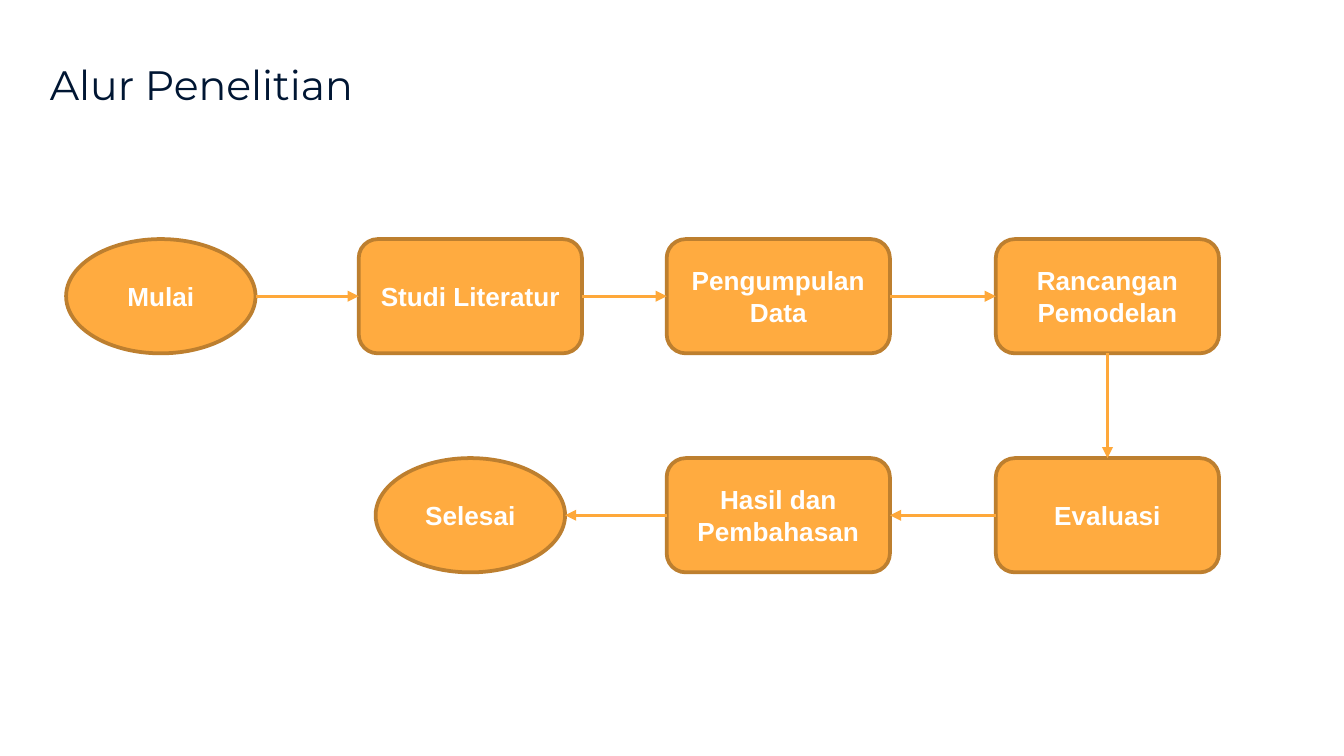
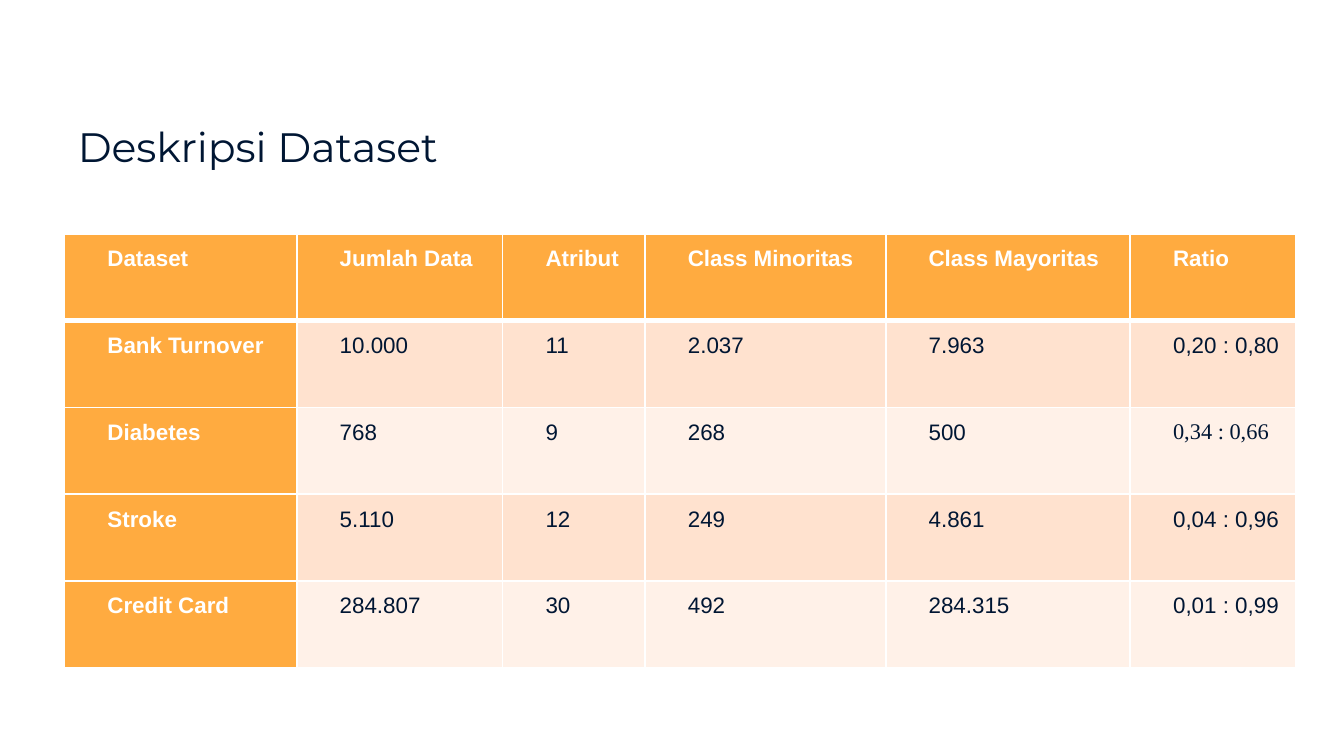
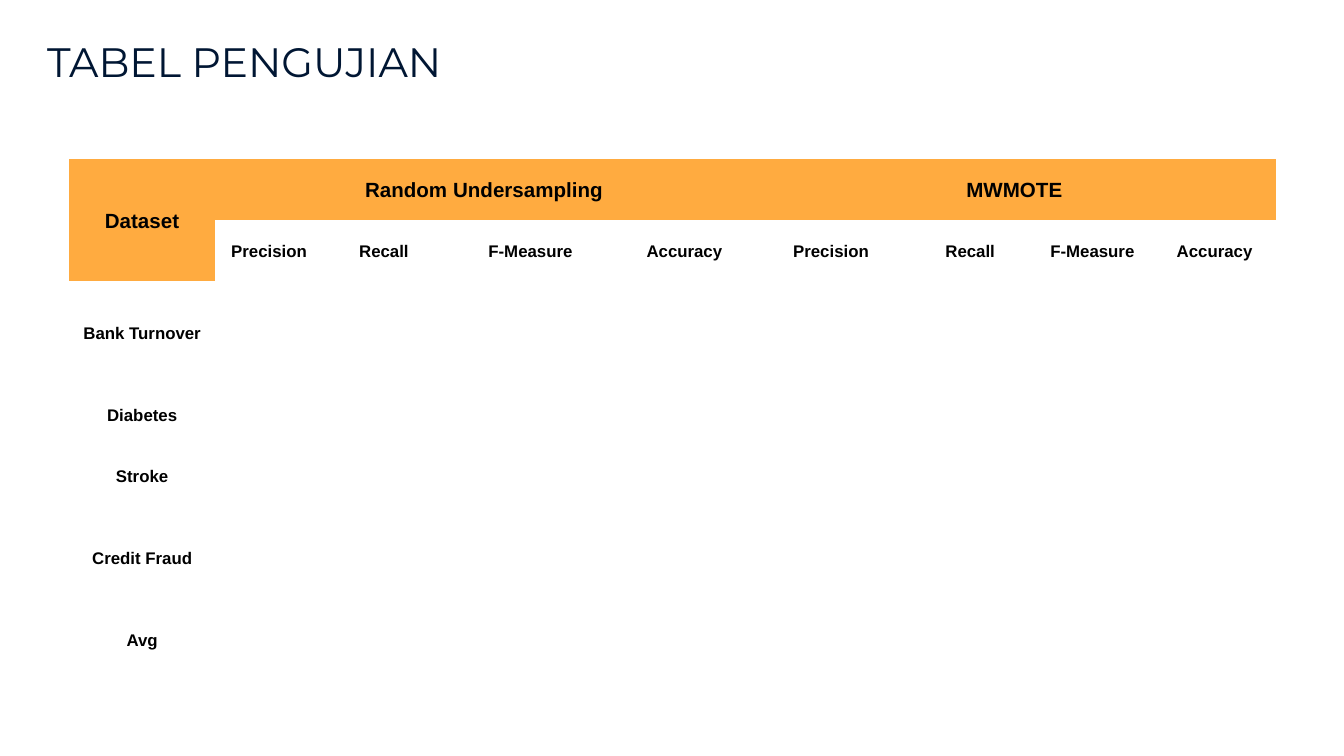
import pptx
import pptx.dml.color
import pptx.enum.shapes
import pptx.enum.text
import pptx.oxml.ns
import pptx.util
from lxml import etree

Cm, Pt = pptx.util.Cm, pptx.util.Pt
ALIGN = pptx.enum.text.PP_ALIGN
ANCHOR = pptx.enum.text.MSO_ANCHOR
SHAPE = pptx.enum.shapes.MSO_SHAPE
qn = pptx.oxml.ns.qn

INK = {"navy": "001633", "orange": "FFAB40", "brown": "BD7F2F", "arrow": "FEA83A",
       "peach": "FFE2CF", "cream": "FFF1E8", "white": "FFFFFF", "black": "000000"}
PLAIN = "{2D5ABB26-0587-4C30-8999-92F81FD0307C}"  # table style without fills or grid

HEAD = {"name": "Montserrat", "size": Pt(22), "bold": False, "color": "navy"}
NODE = {"name": "Arial", "size": Pt(14), "bold": True, "color": "white"}
LABEL = {"name": "Arial", "size": Pt(12), "bold": True, "color": "white"}
VALUE = {**LABEL, "bold": False, "color": "navy"}
GROUP = {"name": "Arial", "size": Pt(11), "bold": True, "color": "black"}
SCORE = {**GROUP, "size": Pt(9)}

# Flow steps in reading order: text, kind, column, row
STEPS = [
    ("Mulai", "oval", 0, 0), ("Studi Literatur", "box", 1, 0),
    ("Pengumpulan Data", "box", 2, 0), ("Rancangan Pemodelan", "box", 3, 0),
    ("Evaluasi", "box", 3, 1), ("Hasil dan Pembahasan", "box", 2, 1),
    ("Selesai", "oval", 1, 1),
]
KINDS = {"oval": (SHAPE.OVAL, 3.58), "box": (SHAPE.ROUNDED_RECTANGLE, 4.22)}
MIDS = [3.04, 8.89, 14.71, 20.93]
TOPS = [4.52, 8.66]
TALL = 2.16

DATA = [
    ("Dataset", "Jumlah Data", "Atribut", "Class Minoritas", "Class Mayoritas", "Ratio"),
    ("Bank Turnover", "10.000", "11", "2.037", "7.963", "0,20 : 0,80"),
    ("Diabetes", "768", "9", "268", "500", "0,34 : 0,66"),
    ("Stroke", "5.110", "12", "249", "4.861", "0,04 : 0,96"),
    ("Credit Card", "284.807", "30", "492", "284.315", "0,01 : 0,99"),
]
DATA_COLS = [4.39, 3.89, 2.69, 4.55, 4.62, 3.12]
SERIF = (2, 5)

METHODS = ["Random Undersampling", "MWMOTE"]
SCORES = ["Precision", "Recall", "F-Measure", "Accuracy"]
SETS = ["Bank Turnover", "Diabetes", "Stroke", "Credit Fraud", "Avg"]
TEST_COLS = [2.77, 2.03, 2.31, 3.23, 2.59, 2.95, 2.31, 2.31, 2.31]
TEST_ROWS = [1.16, 1.16, 1.94, 1.16, 1.16, 1.94, 1.16]


def rgb(ink):
    return pptx.dml.color.RGBColor.from_string(INK[ink])


def write(frame, text, style, align):
    frame.text = text
    par = frame.paragraphs[0]
    par.alignment = align
    font = par.runs[0].font
    for key, val in style.items():
        if key == "color":
            font.color.rgb = rgb(val)
        else:
            setattr(font, key, val)
    return par


def start(deck, text, place, align=ALIGN.LEFT):
    """Add a slide and set its title."""
    slide = deck.slides.add_slide(deck.slide_layouts[5])
    title = slide.shapes.title
    title.left, title.top, title.width, title.height = map(Cm, place)
    frame = title.text_frame
    frame.auto_size = pptx.enum.text.MSO_AUTO_SIZE.NONE
    frame.vertical_anchor = ANCHOR.BOTTOM
    for side in ("left", "top", "right", "bottom"):
        setattr(frame, "margin_" + side, Cm(0.25))
    write(frame, text, HEAD, align)
    return slide


def add_step(slide, text, kind, col, row):
    form, wide = KINDS[kind]
    node = slide.shapes.add_shape(form, Cm(MIDS[col] - wide / 2), Cm(TOPS[row]),
                                  Cm(wide), Cm(TALL))
    node.shadow.inherit = False
    node.fill.solid()
    node.fill.fore_color.rgb = rgb("orange")
    node.line.color.rgb = rgb("brown")
    node.line.width = Pt(2)
    node.text_frame.word_wrap = True
    node.text_frame.vertical_anchor = ANCHOR.MIDDLE
    write(node.text_frame, text, NODE, ALIGN.CENTER)
    return node


def point(node, side):
    """Middle of a side: 0 top, 1 left, 2 bottom, 3 right."""
    x = node.left + (0, node.width // 2, node.width)[(1, 0, 1, 2)[side]]
    y = node.top + (0, node.height // 2, node.height)[(0, 1, 2, 1)[side]]
    return x, y


def link(slide, first, last):
    if first.top != last.top:
        out, into = 2, 0
    else:
        out, into = (3, 1) if first.left < last.left else (1, 3)
    line = slide.shapes.add_connector(pptx.enum.shapes.MSO_CONNECTOR.STRAIGHT,
                                      *point(first, out), *point(last, into))
    for node, side, join in ((first, out, line.begin_connect),
                             (last, into, line.end_connect)):
        if node.auto_shape_type != SHAPE.OVAL:
            join(node, side)
    line.line.color.rgb = rgb("arrow")
    line.line.width = Pt(1.5)
    etree.SubElement(line.line._get_or_add_ln(), qn("a:tailEnd"), type="triangle")
    etree.SubElement(line._element.spPr, qn("a:effectLst"))


def add_grid(slide, left, top, cols, rows, pads):
    """Add a bare table with the given cell margins."""
    grid = slide.shapes.add_table(len(rows), len(cols), Cm(left), Cm(top),
                                  Cm(sum(cols)), Cm(sum(rows))).table
    grid._tbl.tblPr.find(qn("a:tableStyleId")).text = PLAIN
    for parts, sizes, key in ((grid.columns, cols, "width"), (grid.rows, rows, "height")):
        for part, size in zip(parts, sizes):
            setattr(part, key, Cm(size))
    for cell in grid.iter_cells():
        for side, pad in zip(("left", "top", "right", "bottom"), pads):
            setattr(cell, "margin_" + side, Cm(pad))
    return grid


def paint(cell, ink):
    cell.fill.solid()
    cell.fill.fore_color.rgb = rgb(ink)


def edge(cell, widths):
    props = cell._tc.get_or_add_tcPr()
    for side, width in zip("LRTB", widths):
        line = etree.SubElement(props, qn("a:ln" + side), w=str(Pt(width)))
        fill = etree.SubElement(line, qn("a:solidFill"))
        etree.SubElement(fill, qn("a:srgbClr"), val=INK["white"])


def draw_flow(deck):
    slide = start(deck, "Alur Penelitian", (0.2, 1.12, 7.21, 1.19), ALIGN.CENTER)
    nodes = [add_step(slide, *step) for step in STEPS]
    for first, last in zip(nodes, nodes[1:]):
        link(slide, first, last)


def draw_data(deck):
    slide = start(deck, "Deskripsi Dataset", (1.22, 1.09, 11, 2.39))
    grid = add_grid(slide, 1.22, 4.42, DATA_COLS, [1.64] * len(DATA), (0.18, 0, 0.18, 0))
    for r, row in enumerate(DATA):
        for c, text in enumerate(row):
            cell = grid.cell(r, c)
            main = r == 0 or c == 0
            edge(cell, (1, 1, 3 if r == 1 else 1, 3 if r == 0 else 1))
            paint(cell, "orange" if main else "peach" if r % 2 else "cream")
            style = LABEL if main else VALUE
            if (r, c) == SERIF:
                style = {**style, "name": "Times New Roman"}
            par = write(cell.text_frame, text, style, ALIGN.JUSTIFY)
            par.line_spacing = 1.5
            par._p.get_or_add_pPr().set("indent", str(Cm(0.63)))


def draw_tests(deck):
    slide = start(deck, "TABEL PENGUJIAN", (0.64, 0.51, 11.05, 1.37))
    grid = add_grid(slide, 1.3, 3, TEST_COLS, TEST_ROWS, (0.03, 0.03, 0.03, 0))
    span = len(SCORES)
    heads = [(0, 0, "Dataset", 1, 0)]
    heads += [(0, 1 + i * span, name, 0, span - 1) for i, name in enumerate(METHODS)]
    for r, c, text, down, right in heads:
        cell = grid.cell(r, c)
        cell.merge(grid.cell(r + down, c + right))
        paint(cell, "orange")
    parts = [(r, c, text, GROUP) for r, c, text, *_ in heads]
    parts += [(1, c, text, SCORE) for c, text in enumerate(SCORES * len(METHODS), 1)]
    parts += [(r, 0, text, SCORE) for r, text in enumerate(SETS, 2)]
    for r, c, text, style in parts:
        cell = grid.cell(r, c)
        cell.vertical_anchor = ANCHOR.MIDDLE
        write(cell.text_frame, text, style, ALIGN.CENTER)


def main():
    deck = pptx.Presentation()
    deck.slide_width, deck.slide_height = Cm(25.4), Cm(14.29)
    for draw in (draw_flow, draw_data, draw_tests):
        draw(deck)
    deck.save("out.pptx")


if __name__ == "__main__":
    main()
